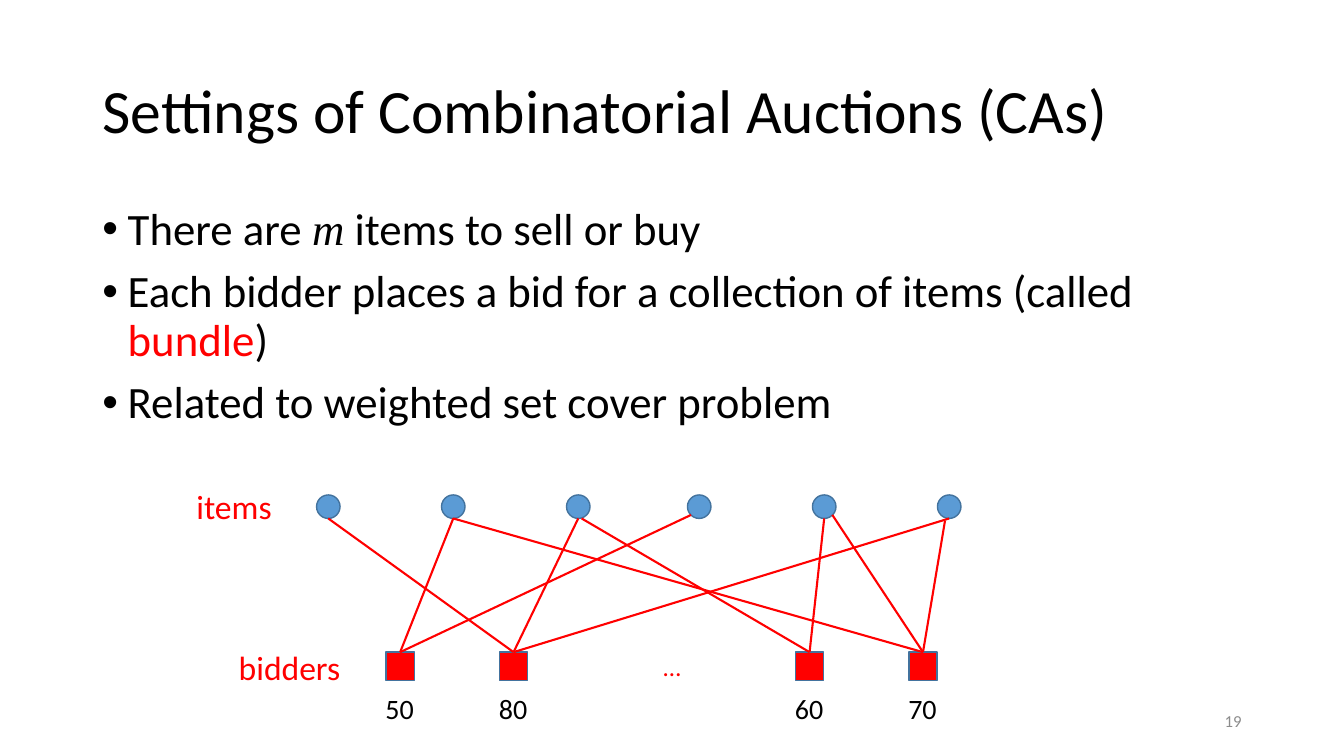
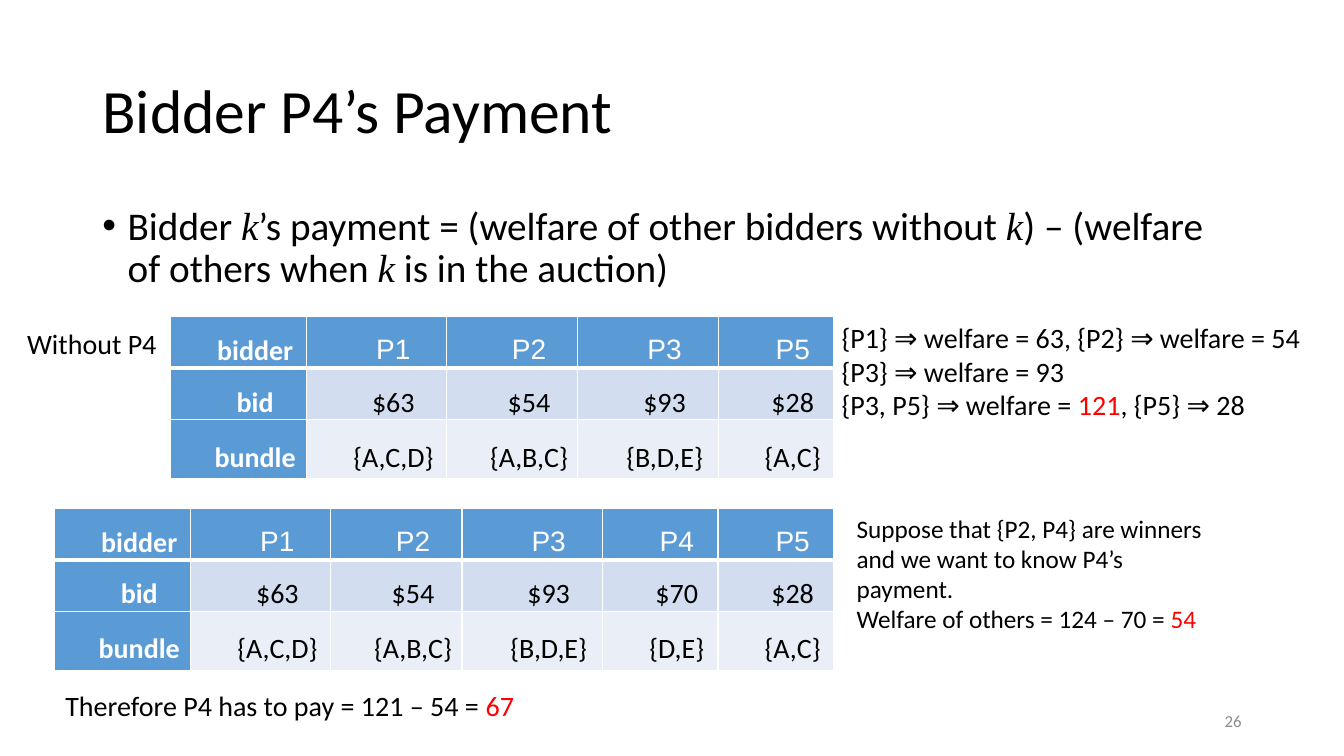
"""Build two slides on combinatorial auctions: the setting and a bidder's payment."""
import dataclasses

import pptx
import pptx.dml.color
import pptx.enum.shapes
import pptx.enum.text
import pptx.oxml
import pptx.oxml.ns
import pptx.util

Pt = pptx.util.Pt
Align = pptx.enum.text.PP_ALIGN
Anchor = pptx.enum.text.MSO_ANCHOR
AutoSize = pptx.enum.text.MSO_AUTO_SIZE
Shape = pptx.enum.shapes.MSO_SHAPE


@dataclasses.dataclass(frozen=True)
class Theme:
    """Colours, fonts, type sizes and grid of the deck."""
    ink: str = "000000"
    paper: str = "FFFFFF"
    red: str = "FF0000"
    blue: str = "5B9BD5"
    outline: str = "43739E"
    grey: str = "8C8C8C"
    band_dark: str = "D2DEEF"
    band_light: str = "EAEFF7"
    font: str = "Calibri"
    math_font: str = "Times New Roman"
    header_font: str = "Arial"
    title: int = 44
    body: int = 32
    body_small: int = 28
    label: int = 24
    text: int = 20
    note: int = 18
    number: int = 12
    columns: int = 160
    rows: int = 90


T = Theme()
RED = {"color": T.red}
MATH = {"name": T.math_font, "italic": True}


def rgb(value):
    """Turn a hex string into a colour."""
    return pptx.dml.color.RGBColor.from_string(value)


class Deck:
    """The presentation, its style and the current slide."""

    def __init__(self):
        """Open a wide presentation."""
        self.prs = pptx.Presentation()
        self.prs.slide_width = pptx.util.Inches(13.33)
        self.prs.slide_height = pptx.util.Inches(7.5)
        self.s = None

    def x(self, columns):
        """Convert grid columns to a length."""
        return round(self.prs.slide_width * columns / T.columns)

    def y(self, rows):
        """Convert grid rows to a length."""
        return round(self.prs.slide_height * rows / T.rows)

    def box(self, left, top, width, height):
        """Convert a grid box to lengths."""
        return self.x(left), self.y(top), self.x(width), self.y(height)

    def fill_text(self, tf, paragraphs, font, gap=0, indent=None, **para):
        """Fill a text frame with paragraphs of plain or formatted runs."""
        for i, runs in enumerate(paragraphs):
            p = tf.paragraphs[0] if i == 0 else tf.add_paragraph()
            for key, value in para.items():
                setattr(p, key, value)
            p.space_before = Pt(gap if i else 0)
            if indent:
                margin, first = indent
                pPr = p._p.get_or_add_pPr()
                pPr.set("marL", str(pptx.util.Inches(margin)))
                pPr.set("indent", str(pptx.util.Inches(first)))
            for run in runs:
                text, extra = (run, {}) if isinstance(run, str) else run
                values = {"name": T.font, "bold": False, "italic": False,
                          "color": T.ink, **font, **extra}
                r = p.add_run()
                r.text = text
                r.font.color.rgb = rgb(values.pop("color"))
                r.font.size = Pt(values.pop("size"))
                for key, value in values.items():
                    setattr(r.font, key, value)

    def placeholder(self, index, box, anchor, paragraphs, size, **para):
        """Place and fill one template placeholder."""
        sp = self.s.placeholders[index]
        sp.left, sp.top, sp.width, sp.height = self.box(*box)
        tf = sp.text_frame
        for key, value in {"word_wrap": True, "auto_size": AutoSize.NONE,
                           "vertical_anchor": anchor}.items():
            setattr(tf, key, value)
        self.fill_text(tf, paragraphs, {"size": size}, line_spacing=0.9,
                       alignment=Align.LEFT, **para)

    def slide(self, title, bullets, size, body_rows, number):
        """Start a slide with title, bullet list and page number."""
        self.s = self.prs.slides.add_slide(self.prs.slide_layouts[1])
        self.placeholder(0, (11, 4.8, 138, 17.4), Anchor.MIDDLE, [[title]], T.title)
        self.placeholder(1, (11, 24, 138, body_rows), Anchor.TOP, bullets, size,
                         gap=10, indent=(0.25, -0.25))
        self.text((113, 83.4, 36, 4.8), [[number]], T.number, T.grey, wrap=True,
                  grow=False, anchor=Anchor.MIDDLE, alignment=Align.RIGHT)

    def text(self, box, paragraphs, size, color=T.ink, wrap=False, grow=True,
             anchor=Anchor.TOP, **para):
        """Add a text box."""
        tf = self.s.shapes.add_textbox(*self.box(*box)).text_frame
        for key, value in {"word_wrap": wrap, "vertical_anchor": anchor,
                           "auto_size": AutoSize.SHAPE_TO_FIT_TEXT if grow
                           else AutoSize.NONE}.items():
            setattr(tf, key, value)
        self.fill_text(tf, paragraphs, {"size": size, "color": color}, **para)

    def node(self, kind, left, top, size, fill):
        """Add a filled graph node."""
        sp = self.s.shapes.add_shape(kind, *self.box(left, top, size, size))
        sp.shadow.inherit = False
        sp.fill.solid()
        sp.fill.fore_color.rgb = rgb(fill)
        sp.line.color.rgb = rgb(T.outline)
        sp.line.width = Pt(1)
        return sp

    def edge(self, item, bidder, dx, dy):
        """Link the lower rim of an item to the top of a bidder."""
        line = self.s.shapes.add_connector(
            pptx.enum.shapes.MSO_CONNECTOR.STRAIGHT,
            item.left + item.width // 2 + self.x(dx),
            item.top + item.height + self.y(dy), bidder.left, bidder.top)
        line.end_connect(bidder, 0)
        line.line.color.rgb = rgb(T.red)
        line.line.width = Pt(1.5)
        line._element.spPr.append(pptx.oxml.parse_xml(
            f'<a:effectLst {pptx.oxml.ns.nsdecls("a")}/>'))

    def borders(self, cell, bottom):
        """Draw white borders round a table cell."""
        tcPr = cell._tc.get_or_add_tcPr()
        for i, side in enumerate("LRTB"):
            width = Pt(bottom if side == "B" else 1)
            tcPr.insert(i, pptx.oxml.parse_xml(
                f'<a:ln{side} {pptx.oxml.ns.nsdecls("a")} w="{width}"><a:solidFill>'
                f'<a:srgbClr val="{T.paper}"/></a:solidFill></a:ln{side}>'))

    def table(self, left, top, widths, heights, rows):
        """Add a bid table with a header row and a header column."""
        table = self.s.shapes.add_table(
            len(rows), len(widths),
            *self.box(left, top, sum(widths), sum(heights))).table
        for column, width in zip(table.columns, widths):
            column.width = self.x(width)
        fills = (T.blue, T.band_dark, T.band_light)
        side = pptx.util.Inches(0.07)
        for i, values in enumerate(rows):
            table.rows[i].height = self.y(heights[i])
            for j, value in enumerate(values):
                cell = table.cell(i, j)
                for key, setting in {"margin_left": side, "margin_right": side,
                                     "margin_top": 0, "margin_bottom": 0,
                                     "vertical_anchor": Anchor.MIDDLE}.items():
                    setattr(cell, key, setting)
                cell.fill.solid()
                cell.fill.fore_color.rgb = rgb(T.blue if j == 0 else fills[i])
                self.borders(cell, 1 if i else 3)
                font = {"size": T.text, "bold": j == 0,
                        "color": T.ink if i and j else T.paper,
                        "name": T.header_font if i == 0 and j else T.font}
                self.fill_text(cell.text_frame, [[value]], font, indent=(0, 0.33),
                               alignment=Align.CENTER, line_spacing=1.5)


def settings_slide(deck):
    """Show which bidders bid for which items."""
    deck.slide("Settings of Combinatorial Auctions (CAs)", [
        ["There are ", ("m", MATH), " items to sell or buy"],
        ["Each bidder places a bid for a collection of items (called ",
         ("bundle", RED), ")"],
        ["Related to weighted set cover problem"],
    ], T.body, 30.24, "19")
    items = [deck.node(Shape.OVAL, start + 14.88 * i, 58.92, 2.8, T.blue)
             for start in (37.68, 81.84) for i in range(3)]
    bidder_lefts = [start + 13.5 * i for start in (45.96, 94.7) for i in range(2)]
    bidders = [deck.node(Shape.RECTANGLE, left, 77.64, 3.36, T.red)
               for left in bidder_lefts]
    edges = [(1, 0, 0, 0), (3, 0, -0.97, -0.42), (0, 1, 0, 0), (5, 1, 0, 0),
             (2, 1, 0, 0), (2, 2, 0.4, 0), (4, 2, 0, 0), (4, 3, 0.97, -0.42),
             (1, 3, 0, 0), (5, 3, -0.5, 0.3)]
    for item, bidder, dx, dy in edges:
        deck.edge(items[item], bidders[bidder], dx, dy)
    deck.text((77.8, 76.9, 4.56, 4.8), [["…"]], T.note, T.red)
    deck.text((27.24, 76.44, 14.64, 6), [["bidders"]], T.label, T.red)
    deck.text((22.2, 57.24, 11.52, 6), [["items"]], T.label, T.red)
    for left, bid in zip(bidder_lefts, ("50", "80", "60", "70")):
        deck.text((left - 1.25, 81.6, 5.88, 5.28), [[bid]], T.text,
                  anchor=Anchor.BOTTOM)


def payment_slide(deck):
    """Work out what bidder P4 pays."""
    deck.slide("Bidder P4’s Payment", [
        ["Bidder ", ("k", MATH), "’s payment = (welfare of other bidders without ",
         ("k", MATH), ") – (welfare of others when ", ("k", MATH),
         " is in the auction)"],
    ], T.body_small, 33.48, "26")
    bids = [("bidder", "bid", "bundle", 16.2), ("P1", "$63", "{A,C,D}", 16.7),
            ("P2", "$54", "{A,B,C}", 15.6), ("P3", "$93", "{B,D,E}", 16.7),
            ("P4", "$70", "{D,E}", 13.8), ("P5", "$28", "{A,C}", 13.8)]
    others = [bid for bid in bids if bid[0] != "P4"]
    for top, columns in ((60.5, bids), (37.7, others)):
        *rows, widths = zip(*columns)
        deck.table(99.3 - sum(widths), top, widths, (5.95, 6.05, 7.05), rows)
    deck.text((2.04, 38.28, 18, 5.28), [["Without P4"]], T.text)
    deck.text((100.8, 60.48, 45.72, 12.12), [
        ["Suppose that {P2, P4} are winners and we want to know P4’s payment."],
        ["Welfare of others = 124 – 70 = ", ("54", RED)],
    ], T.note, wrap=True)
    deck.text((6.6, 81.36, 56.28, 5.28),
              [["Therefore P4 has to pay = 121 – 54 = ", ("67", RED)]], T.text)
    deck.text((99, 37.56, 58.44, 13.32), [
        ["{P1} ⇒ welfare = 63, {P2} ⇒ welfare = 54"],
        ["{P3} ⇒ welfare = 93"],
        ["{P3, P5} ⇒ welfare = ", ("121", RED), ", {P5} ⇒ 28"],
    ], T.text)


def main():
    """Build and save the deck."""
    deck = Deck()
    settings_slide(deck)
    payment_slide(deck)
    deck.prs.save("out.pptx")


if __name__ == "__main__":
    main()
